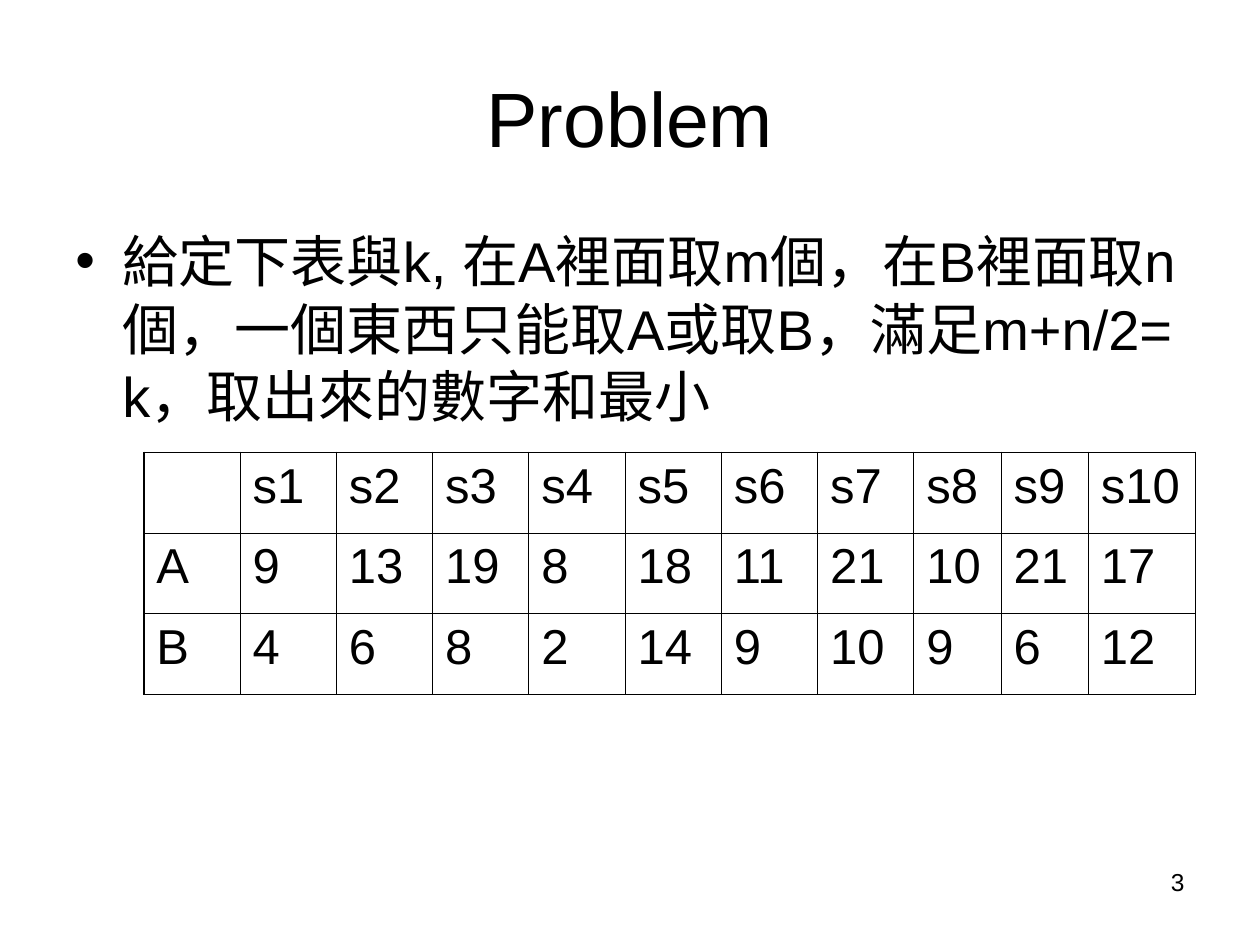
from typing import NamedTuple

from lxml import etree
from pptx import Presentation
from pptx.dml.color import RGBColor
from pptx.enum.text import MSO_ANCHOR, PP_ALIGN
from pptx.oxml.ns import qn
from pptx.util import Cm, Pt

LEFT, CENTER, RIGHT = PP_ALIGN.LEFT, PP_ALIGN.CENTER, PP_ALIGN.RIGHT
TOP, MIDDLE = MSO_ANCHOR.TOP, MSO_ANCHOR.MIDDLE
BLACK = RGBColor(0, 0, 0)
WHITE = RGBColor(255, 255, 255)
FONT = "Arial"
THIN, THICK = Pt(0.45), Pt(1.08)


class Box(NamedTuple):
    left: float
    top: float
    width: float
    height: float

    def lengths(self) -> list:
        return [Cm(v) for v in self]


TITLE_BOX = Box(1.27, 0.76, 22.86, 3.18)
BODY_BOX = Box(1.27, 4.45, 22.86, 12.57)
TABLE_BOX = Box(2.9, 9.12, 21.2, 4.88)
NUMBER_BOX = Box(18.21, 17.35, 5.92, 1.32)

COLUMN_WIDTHS = [1.94] * 8 + [1.76] * 2 + [2.16]
ROWS = [
    [""] + [f"s{i}" for i in range(1, 11)],
    ["A", 9, 13, 19, 8, 18, 11, 21, 10, 21, 17],
    ["B", 4, 6, 8, 2, 14, 9, 10, 9, 6, 12],
]


def add_run(p, text: str, size: float) -> None:
    r = p.add_run()
    r.text = text
    r.font.size = Pt(size)
    r.font.name = FONT
    r.font.color.rgb = BLACK


def write(sp, text: str, size: float, align=LEFT, anchor=TOP):
    tf = sp.text_frame
    tf.word_wrap = True
    tf.vertical_anchor = anchor
    p = tf.paragraphs[0]
    p.alignment = align
    add_run(p, text, size)
    return p


def add_bullet(p, indent: float) -> None:
    pPr = p._p.get_or_add_pPr()
    pPr.set("marL", str(Cm(indent)))
    pPr.set("indent", str(-Cm(indent)))
    etree.SubElement(pPr, qn("a:buFont"), typeface=FONT)
    etree.SubElement(pPr, qn("a:buChar"), char="•")


def set_borders(cell, widths: dict) -> None:
    tcPr = cell._tc.get_or_add_tcPr()
    for i, (side, width) in enumerate(widths.items()):
        ln = etree.Element(qn(f"a:ln{side}"), w=str(width))
        fill = etree.SubElement(ln, qn("a:solidFill"))
        etree.SubElement(fill, qn("a:srgbClr"), val=str(BLACK))
        tcPr.insert(i, ln)


def add_grid(s, rows: list, box: Box) -> None:
    last_row, last_col = len(rows) - 1, len(rows[0]) - 1
    table = s.shapes.add_table(last_row + 1, last_col + 1, *box.lengths()).table
    table.first_row = table.horz_banding = False
    for column, width in zip(table.columns, COLUMN_WIDTHS):
        column.width = Cm(width)
    for i, values in enumerate(rows):
        for j, value in enumerate(values):
            cell = table.cell(i, j)
            cell.fill.background()
            # The outer frame is heavier than the inner lines
            set_borders(cell, {
                "L": THICK if j == 0 else THIN,
                "R": THICK if j == last_col else THIN,
                "T": THICK if i == 0 else THIN,
                "B": THICK if i == last_row else THIN,
            })
            if value != "":
                add_run(cell.text_frame.paragraphs[0], str(value), 28)


def main() -> None:
    prs = Presentation()
    prs.slide_width, prs.slide_height = Cm(25.4), Cm(19.05)
    s = prs.slides.add_slide(prs.slide_layouts[5])
    s.background.fill.solid()
    s.background.fill.fore_color.rgb = WHITE

    # Title
    title = s.shapes.title
    title.left, title.top, title.width, title.height = TITLE_BOX.lengths()
    write(title, "Problem", 44, CENTER, MIDDLE)

    # Problem statement
    body = s.shapes.add_textbox(*BODY_BOX.lengths())
    p = write(body, "給定下表與k, 在A裡面取m個，在B裡面取n個，一個東西只能取A或取B，"
                    "滿足m+n/2=k，取出來的數字和最小", 32)
    add_bullet(p, 0.95)

    # Values of A and B
    add_grid(s, ROWS, TABLE_BOX)

    # Slide number
    write(s.shapes.add_textbox(*NUMBER_BOX.lengths()), "3", 14, RIGHT)

    prs.save("out.pptx")


if __name__ == "__main__":
    main()
